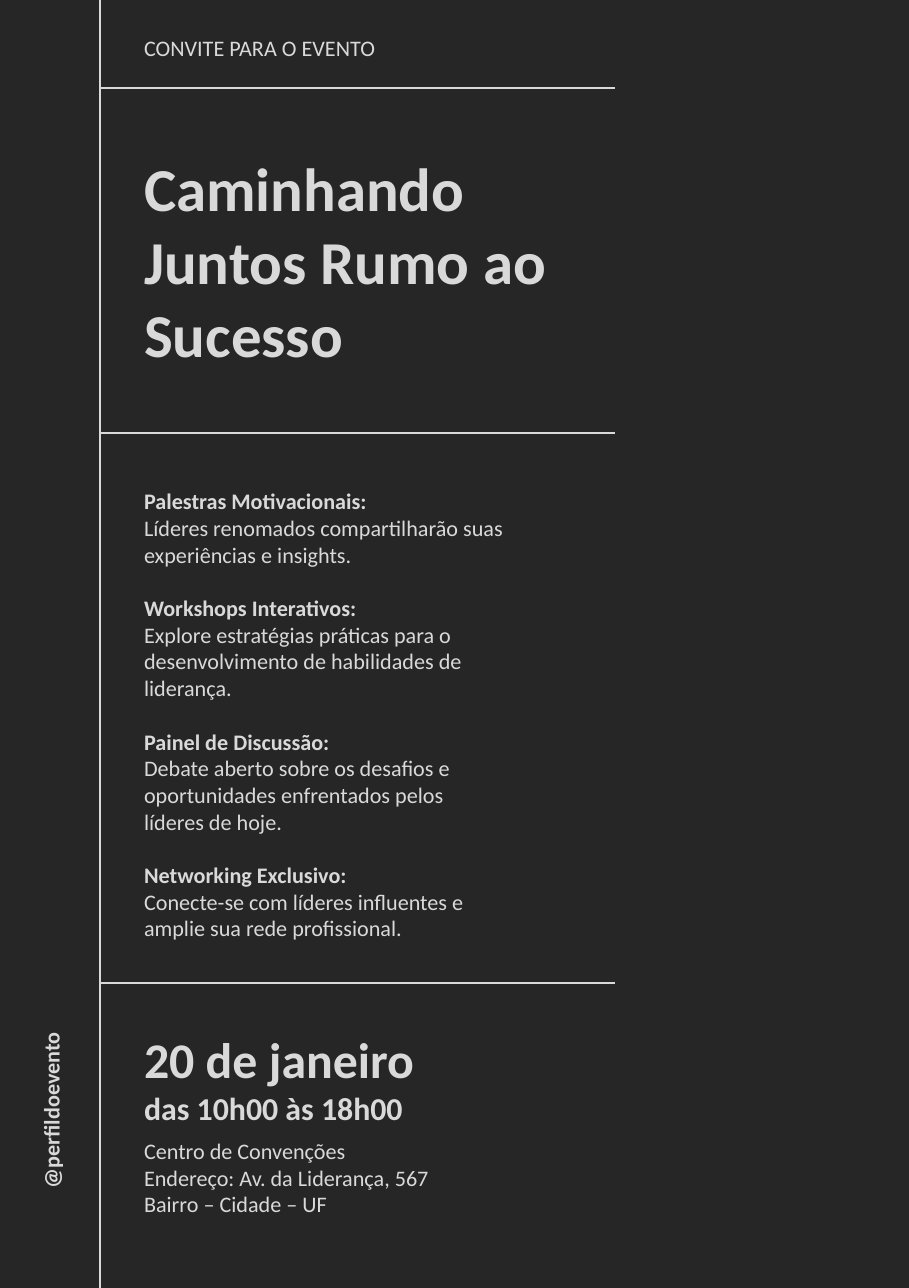
"""Builds a tall event invitation with a title, a programme, and a date and venue."""
from lxml import etree
from pptx import Presentation, util as u
from pptx.dml.color import RGBColor
from pptx.enum import shapes, text
from pptx.oxml.ns import qn

PX = u.Inches(1) // 100
THEME = {
    "background": RGBColor(0x26, 0x26, 0x26),
    "ink": RGBColor(0xD9, 0xD9, 0xD9),
    "font": "Calibri",
    "title": 88,
    "date": 72,
    "time": 46,
    "body": 32,
    "rule": 3,
    "gap": 39,
}
FRAME_FORMAT = {
    "word_wrap": True,
    "vertical_anchor": text.MSO_ANCHOR.MIDDLE,
    "auto_size": text.MSO_AUTO_SIZE.SHAPE_TO_FIT_TEXT,
}
COLUMN, RULE_START, RULE_END = 279, 199, 1233
WIDTH, HEIGHT = 1823, 2583


def fill_text(shape, box, lines):
    """Places a shape and writes lines of (wording, size, bold, space before)."""
    for name, value in zip(("left", "top", "width", "height"), box):
        setattr(shape, name, value * PX)
    frame = shape.text_frame
    for name, value in FRAME_FORMAT.items():
        setattr(frame, name, value)
    for index, (wording, size, bold, gap) in enumerate(lines):
        paragraph = frame.add_paragraph() if index else frame.paragraphs[0]
        paragraph.alignment = text.PP_ALIGN.LEFT
        paragraph.space_before = u.Pt(gap)
        run = paragraph.add_run()
        run.text = wording
        font_format = {"name": THEME["font"], "size": u.Pt(size), "bold": bold}
        for name, value in font_format.items():
            setattr(run.font, name, value)
        run.font.color.rgb = THEME["ink"]


presentation = Presentation()
presentation.slide_width = WIDTH * PX
presentation.slide_height = HEIGHT * PX
slide = presentation.slides.add_slide(presentation.slide_layouts[5])
slide.background.fill.solid()
slide.background.fill.fore_color.rgb = THEME["background"]

rules = [(200, 0, 200, HEIGHT)]
rules += [(RULE_START, y, RULE_END, y) for y in (177, 868, 1972)]
for ends in rules:
    rule = slide.shapes.add_connector(
        shapes.MSO_CONNECTOR.STRAIGHT, *(value * PX for value in ends))
    rule.line.color.rgb = THEME["ink"]
    rule.line.width = u.Pt(THEME["rule"])
    etree.SubElement(rule._element.spPr, qn("a:effectLst"))

fill_text(slide.shapes.title, (COLUMN, 295, 850, 454),
          [("Caminhando Juntos Rumo ao Sucesso", THEME["title"], True, 0)])

sessions = [
    ("Palestras Motivacionais:",
     "Líderes renomados compartilharão suas experiências e insights."),
    ("Workshops Interativos:",
     "Explore estratégias práticas para o desenvolvimento de habilidades de liderança."),
    ("Painel de Discussão:",
     "Debate aberto sobre os desafios e oportunidades enfrentados pelos líderes de hoje."),
    ("Networking Exclusivo:",
     "Conecte-se com líderes influentes e amplie sua rede profissional."),
]
programme = []
for heading, description in sessions:
    programme.append((heading, THEME["body"], True, THEME["gap"] if programme else 0))
    programme.append((description, THEME["body"], False, 0))

venue = ["Centro de Convenções", "Endereço: Av. da Liderança, 567", "Bairro – Cidade – UF"]
text_boxes = [
    ((COLUMN, 64, 690, 64), 0, [("CONVITE PARA O EVENTO", THEME["body"], False, 0)]),
    ((COLUMN, 960, 749, 946), 0, programme),
    ((-175, 2084, 554, 64), 270, [("@perfildoevento", THEME["body"], True, 0)]),
    ((COLUMN, 2055, 846, 212), 0, [("20 de janeiro", THEME["date"], True, 0),
                                   ("das 10h00 às 18h00", THEME["time"], True, 0)]),
    ((COLUMN, 2275, 846, 172), 0, [(line, THEME["body"], False, 0) for line in venue]),
]
for box, rotation, lines in text_boxes:
    text_box = slide.shapes.add_textbox(0, 0, 0, 0)
    text_box.rotation = rotation
    fill_text(text_box, box, lines)

presentation.save("out.pptx")
